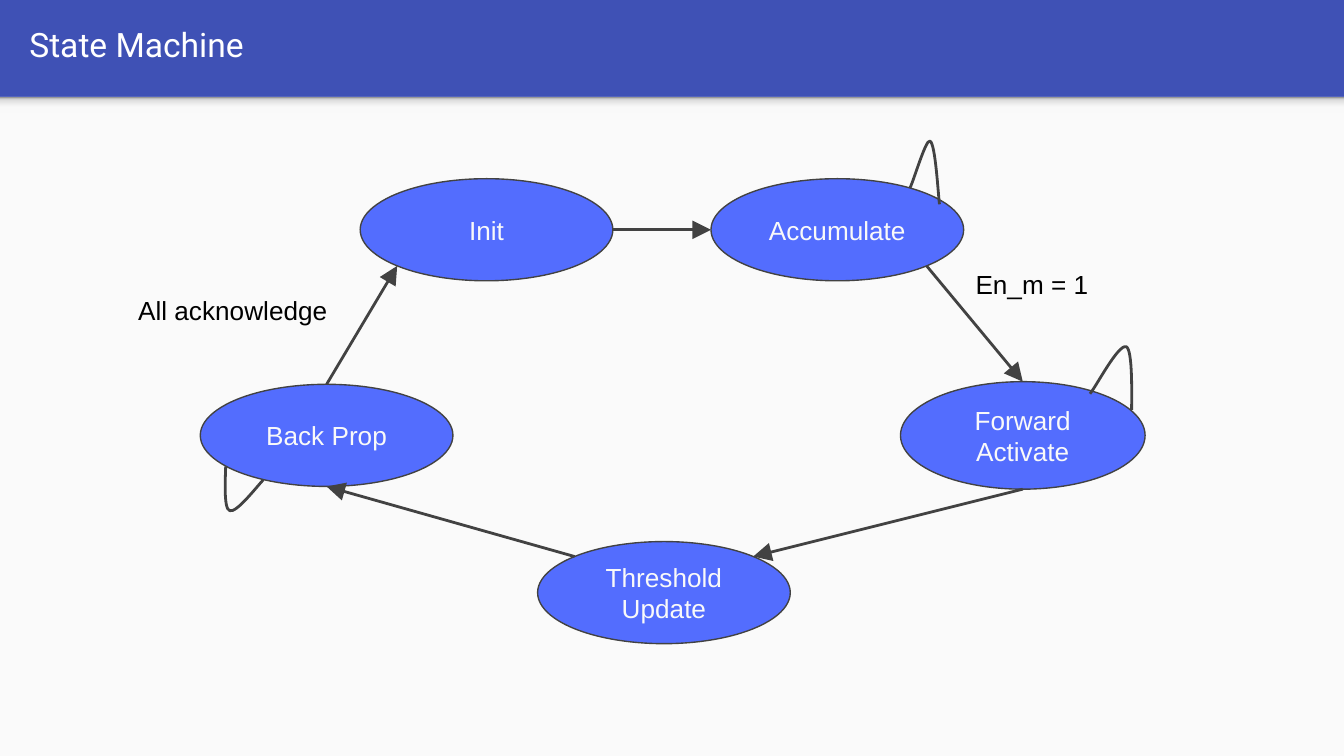
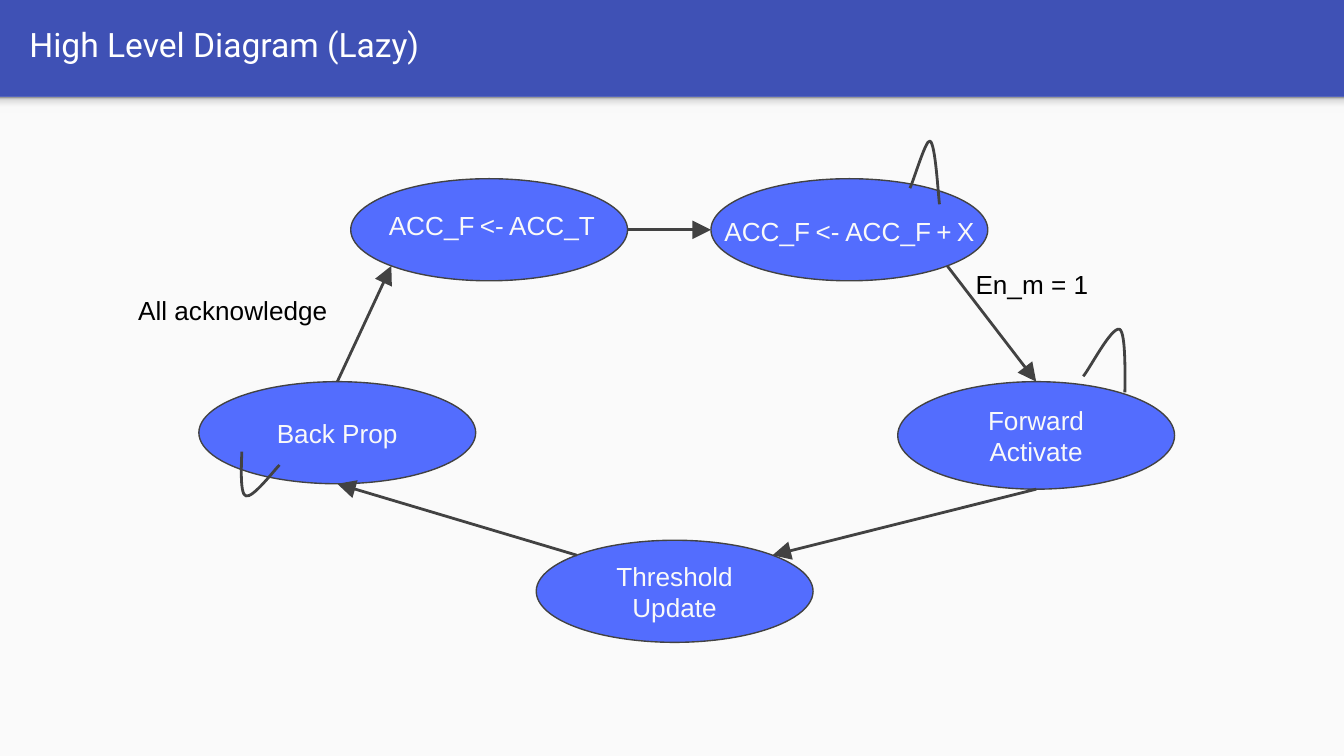
from dataclasses import dataclass
from math import cos, pi, sin

from lxml import etree
from pptx import Presentation
from pptx import util as u
from pptx.dml import color as c
from pptx.enum import shapes, text
from pptx.oxml import ns


@dataclass(frozen=True)
class Theme:
    band: str = "3F51B5"
    panel: str = "FAFAFA"
    state: str = "536DFE"
    line: str = "424242"
    light: str = "F9F9F9"
    white: str = "FFFFFF"
    black: str = "000000"
    strip: tuple = ((0, "F9F9F9"), (36, "F9F9F9"), (80, "DEDEDE"), (100, "999999"))
    title_font: str = "Roboto"
    body_font: str = "Arial"
    title_size: float = 18
    body_size: float = 14
    thin_size: float = 10
    outline: float = 0.75
    stroke: float = 1.5


THEME = Theme()
WIDTH, BAND = 10, 0.72
HEIGHT = WIDTH * 9 / 16

TOP, TOP_LEFT, LEFT, BOTTOM_LEFT, BOTTOM, BOTTOM_RIGHT, RIGHT, TOP_RIGHT = range(8)

TRANSITIONS = [
    ("init", RIGHT, "accumulate", LEFT),
    ("accumulate", BOTTOM_RIGHT, "forward", TOP),
    ("forward", BOTTOM, "threshold", TOP_RIGHT),
    ("threshold", TOP_LEFT, "back", BOTTOM),
    ("back", TOP, "init", BOTTOM_LEFT),
]

LOOPS = {
    "accumulate": [(0.03, -0.06), (0.12, -0.37), (0.15, -0.35),
                   (0.19, -0.33), (0.21, 0.04), (0.22, 0.12)],
    "forward": [(0.05, -0.06), (0.21, -0.37), (0.27, -0.35),
                (0.32, -0.33), (0.31, 0.04), (0.31, 0.12)],
    "back": [(-0.04, 0.04), (-0.2, 0.25), (-0.25, 0.23),
             (-0.3, 0.22), (-0.28, -0.05), (-0.28, -0.1)],
}

CONDITIONS = [("All acknowledge", (0.93, 2.09, 1.66, 0.51)),
              ("En_m = 1", (7.16, 1.9, 1.11, 0.26))]

STATE_MACHINE = {
    "title": "State Machine",
    "states": {
        "forward": ("Forward\nActivate", (6.7, 2.84, 1.82, 0.8)),
        "accumulate": ("Accumulate", (5.29, 1.33, 1.88, 0.76)),
        "threshold": ("Threshold Update", (4, 4.03, 1.88, 0.76)),
        "init": ("Init", (2.68, 1.33, 1.88, 0.76)),
        "back": ("Back Prop", (1.49, 2.86, 1.88, 0.76)),
    },
    "loops": {"accumulate": (6.77, 1.4), "forward": (8.11, 2.93), "back": (1.96, 3.57)},
    "formulas": [],
}

LAZY_DIAGRAM = {
    "title": "High Level Diagram (Lazy)",
    "states": {
        "forward": ("Forward\nActivate", (6.68, 2.84, 2.06, 0.8)),
        "accumulate": ("", (5.29, 1.33, 2.06, 0.76)),
        "threshold": ("Threshold Update", (3.99, 4.02, 2.06, 0.76)),
        "init": ("", (2.61, 1.33, 2.06, 0.76)),
        "back": ("Back Prop", (1.48, 2.84, 2.06, 0.76)),
    },
    "loops": {"accumulate": (6.77, 1.4), "forward": (8.06, 2.8), "back": (2.08, 3.46)},
    "formulas": [
        (("ACC_F", " ", "<-", " ", "ACC_T"), (2.72, 1.46, 1.88, 0.61)),
        (("ACC_F", " ", "<- ACC_F", " ", "+", " ", "X"), (5.24, 1.5, 2.16, 0.41)),
    ],
}


def color(value):
    return c.RGBColor.from_string(value)


def inches(values):
    return [u.Inches(value) for value in values]


def write(box, content, fill=THEME.black, font=THEME.body_font, size=THEME.body_size,
          align=text.PP_ALIGN.LEFT, anchor=text.MSO_ANCHOR.TOP):
    frame = box.text_frame
    frame.word_wrap = True
    frame.vertical_anchor = anchor
    frame.margin_left = frame.margin_right = u.Inches(0.1)
    frame.margin_top = frame.margin_bottom = u.Inches(0.1)
    lines = [[line] for line in content.split("\n")] if isinstance(content, str) else [content]
    for index, line in enumerate(lines):
        para = frame.paragraphs[0] if index == 0 else frame.add_paragraph()
        para.alignment = align
        for piece in line:
            span = para.add_run()
            span.text = piece
            span.font.name = font
            span.font.size = u.Pt(THEME.thin_size if piece == " " else size)
            span.font.color.rgb = color(fill)


def add_text(page, content, area, **style):
    write(page.shapes.add_textbox(*inches(area)), content, **style)


def add_block(page, kind, area):
    block = page.shapes.add_shape(kind, *inches(area))
    block.shadow.inherit = False
    block.line.fill.background()
    block.fill.solid()
    return block


def set_stroke(shape, width):
    shape.line.color.rgb = color(THEME.line)
    shape.line.width = u.Pt(width)


def add_frame(page, title):
    page.background.fill.solid()
    page.background.fill.fore_color.rgb = color(THEME.band)
    rectangle = shapes.MSO_SHAPE.RECTANGLE
    panel = add_block(page, rectangle, (0, BAND, WIDTH, HEIGHT - BAND))
    panel.fill.fore_color.rgb = color(THEME.panel)

    strip = add_block(page, rectangle, (0, BAND, WIDTH, 0.12))
    strip.fill.gradient()
    strip.fill.gradient_angle = 90
    stops = strip._element.spPr.find(".//" + ns.qn("a:gsLst"))
    for stop in list(stops):
        stops.remove(stop)
    for position, value in THEME.strip:
        stop = etree.SubElement(stops, ns.qn("a:gs"), pos=str(position * 1000))
        etree.SubElement(stop, ns.qn("a:srgbClr"), val=value)

    add_text(page, title, (0.12, 0, 9.65, 0.66), fill=THEME.white, font=THEME.title_font,
             size=THEME.title_size, anchor=text.MSO_ANCHOR.MIDDLE)


def add_state(page, label, area):
    state = add_block(page, shapes.MSO_SHAPE.FLOWCHART_CONNECTOR, area)
    state.fill.fore_color.rgb = color(THEME.state)
    set_stroke(state, THEME.outline)
    if label:
        write(state, label, fill=THEME.light, align=text.PP_ALIGN.CENTER,
              anchor=text.MSO_ANCHOR.MIDDLE)
    return state


def site_point(state, site):
    angle = site * pi / 4
    return (round(state.left + state.width / 2 * (1 - sin(angle))),
            round(state.top + state.height / 2 * (1 - cos(angle))))


def add_transition(page, source, source_site, target, target_site):
    arrow = page.shapes.add_connector(shapes.MSO_CONNECTOR.STRAIGHT,
                                      *site_point(source, source_site),
                                      *site_point(target, target_site))
    set_stroke(arrow, THEME.stroke)
    outline = arrow._element.spPr.find(ns.qn("a:ln"))
    etree.SubElement(outline, ns.qn("a:tailEnd"), type="triangle", w="lg", len="lg")
    etree.SubElement(arrow._element.spPr, ns.qn("a:effectLst"))
    joints = arrow._element.find(".//" + ns.qn("p:cNvCxnSpPr"))
    for tag, state, site in (("a:stCxn", source, source_site), ("a:endCxn", target, target_site)):
        etree.SubElement(joints, ns.qn(tag), id=str(state.shape_id), idx=str(site))


def add_loop(page, start, offsets):
    left, top = start
    builder = page.shapes.build_freeform(*inches(start))
    points = [inches((left + across, top + down)) for across, down in offsets]
    builder.add_line_segments(points, close=False)
    loop = builder.convert_to_shape()
    loop.shadow.inherit = False
    loop.fill.background()
    set_stroke(loop, THEME.stroke)
    segments = list(loop._element.iter(ns.qn("a:lnTo")))
    for first in range(0, len(segments), 3):
        curve = etree.Element(ns.qn("a:cubicBezTo"))
        segments[first].addprevious(curve)
        for segment in segments[first:first + 3]:
            curve.append(segment[0])
            segment.getparent().remove(segment)


def add_cycle(deck, diagram):
    page = deck.slides.add_slide(deck.slide_layouts[6])
    add_frame(page, diagram["title"])
    states = {name: add_state(page, label, area)
              for name, (label, area) in diagram["states"].items()}
    for source, source_site, target, target_site in TRANSITIONS:
        add_transition(page, states[source], source_site, states[target], target_site)
    for name, start in diagram["loops"].items():
        add_loop(page, start, LOOPS[name])
    for label, area in CONDITIONS:
        add_text(page, label, area)
    for formula, area in diagram["formulas"]:
        add_text(page, formula, area, fill=THEME.light, align=text.PP_ALIGN.CENTER)


def main():
    deck = Presentation()
    deck.slide_width, deck.slide_height = inches((WIDTH, HEIGHT))
    for diagram in (STATE_MACHINE, LAZY_DIAGRAM):
        add_cycle(deck, diagram)
    deck.save("out.pptx")


if __name__ == "__main__":
    main()
